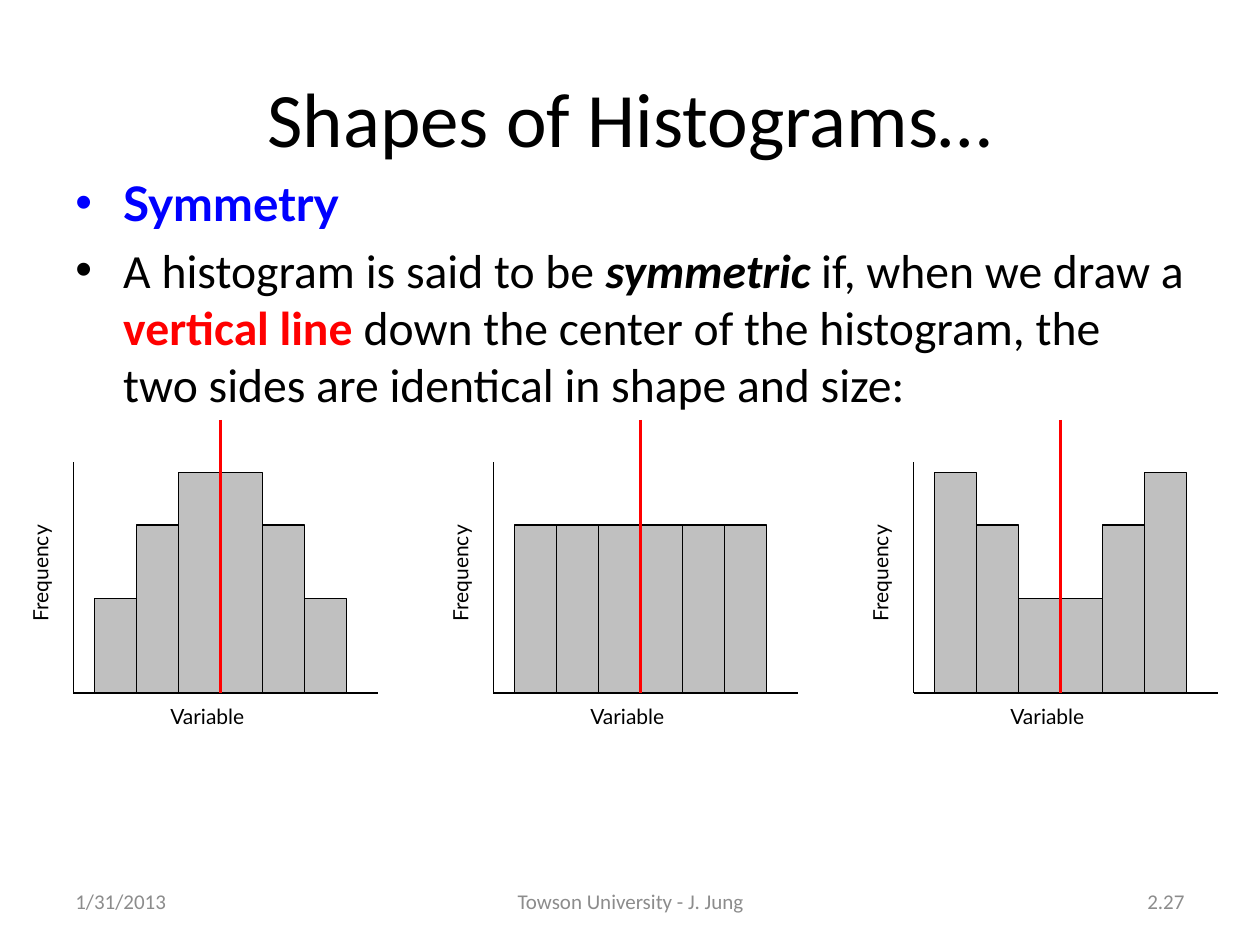
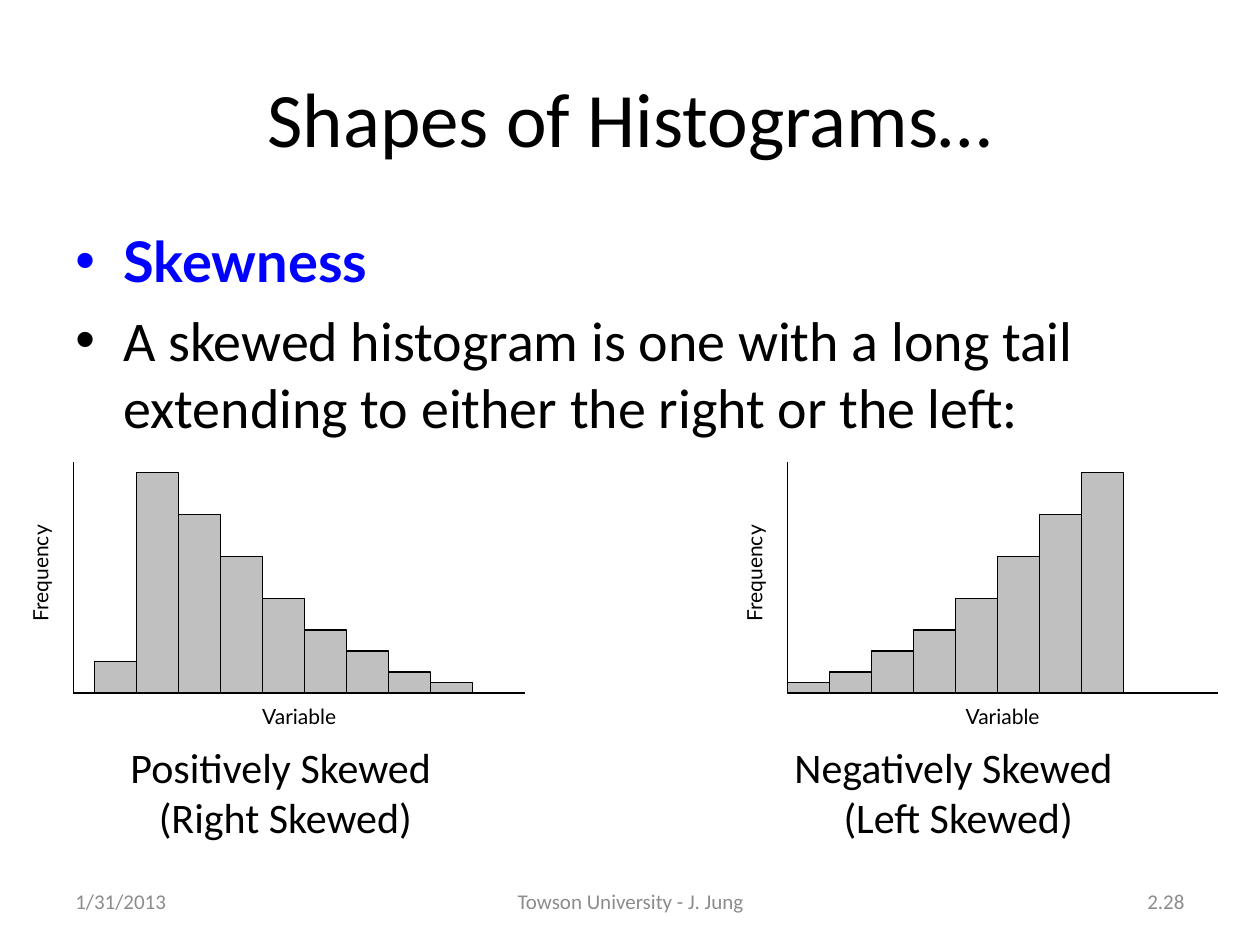
from lxml import etree
from pptx import Presentation
from pptx import util as u
from pptx.dml.color import RGBColor
from pptx.enum import shapes, text
from pptx.oxml.ns import qn

BLACK = RGBColor(0x00, 0x00, 0x00)
BLUE = RGBColor(0x00, 0x00, 0xFF)
RED = RGBColor(0xFF, 0x00, 0x00)
BAR_GRAY = RGBColor(0xC0, 0xC0, 0xC0)
FOOTER_GRAY = RGBColor(0x8C, 0x8C, 0x8C)
MAIN_FONT, ACCENT_FONT = "Calibri", "Lato"
LEFT, CENTER, RIGHT = text.PP_ALIGN.LEFT, text.PP_ALIGN.CENTER, text.PP_ALIGN.RIGHT

# Histograms are laid out in twelfths of an inch above a common baseline
UNIT = 1 / 12
BASELINE = 5.5
BAR_WIDTH = 4
AXIS_HEIGHT = 22
MIRROR_HEIGHT = 26


def add_text(page, place, words, size, font=MAIN_FONT, color=BLACK,
             align=CENTER, wrap=True):
    box = page.shapes.add_textbox(*[u.Inches(value) for value in place])
    frame = box.text_frame
    frame.word_wrap = wrap
    frame.vertical_anchor = text.MSO_ANCHOR.MIDDLE
    frame.text = words
    para = frame.paragraphs[0]
    para.alignment = align
    for span in para.runs:
        span.font.size = u.Pt(size)
        span.font.name = font
        span.font.color.rgb = color
    return box


def add_line(page, start, end, color=BLACK, width=0.75):
    points = [u.Inches(value) for value in (*start, *end)]
    line = page.shapes.add_connector(shapes.MSO_CONNECTOR.STRAIGHT, *points)
    line.line.color.rgb = color
    line.line.width = u.Pt(width)
    etree.SubElement(line._element.spPr, qn("a:effectLst"))


# Each span: words, font, colour, bold, italic
# Each histogram: axis position, axis length, first bar offset, bar heights,
# centre of the variable label from the axis, mirror line offset
pages = [
    {
        "number": "2.27",
        "body": (0.5, 1.33, 9, 1.92),
        "size": 27.2,
        "bullets": [
            [("Symmetry", ACCENT_FONT, BLUE, True, False)],
            [("A histogram is said to be ", MAIN_FONT, BLACK, False, False),
             ("symmetric", MAIN_FONT, BLACK, True, True),
             (" if, when we draw a ", MAIN_FONT, BLACK, False, False),
             ("vertical line", MAIN_FONT, RED, True, False),
             (" down the center of the histogram, the two sides are identical "
              "in shape and size:", MAIN_FONT, BLACK, False, False)],
        ],
        "histograms": [
            (7, 29, 2, [9, 16, 21, 21, 16, 9], 12.75, 14),
            (47, 29, 2, [16] * 6, 12.75, 14),
            (87, 29, 2, [21, 16, 9, 9, 16, 21], 12.75, 14),
        ],
        "captions": [],
    },
    {
        "number": "2.28",
        "body": (0.5, 1.75, 9, 4.95),
        "size": 32,
        "bullets": [
            [("Skewness", ACCENT_FONT, BLUE, True, False)],
            [("A skewed histogram is one with a long tail extending to either "
              "the right or the left:", MAIN_FONT, BLACK, False, False)],
        ],
        "histograms": [
            (7, 43, 2, [3, 21, 17, 13, 9, 6, 4, 2, 1], 21.5, None),
            (75, 41, 0, [1, 2, 4, 6, 9, 13, 17, 21], 20.5, None),
        ],
        "captions": [
            ((0.92, 5.83, 2.69, 0.91), "Positively Skewed \v(Right Skewed)"),
            ((6.19, 5.83, 2.83, 0.91), "Negatively Skewed \v(Left Skewed)"),
        ],
    },
]

deck = Presentation()
deck.slide_width, deck.slide_height = u.Inches(10), u.Inches(7.5)

for content in pages:
    page = deck.slides.add_slide(deck.slide_layouts[6])

    # Title and footer
    add_text(page, (0.5, 0.3, 9, 1.25), "Shapes of Histograms…", 44)
    for left, width, words, align in [
        (0.5, 2.33, "1/31/2013", LEFT),
        (3.42, 3.17, "Towson University - J. Jung", CENTER),
        (7.17, 2.33, content["number"], RIGHT),
    ]:
        add_text(page, (left, 6.95, width, 0.4), words, 12,
                 color=FOOTER_GRAY, align=align)

    # Bulleted text
    body = page.shapes.add_textbox(*[u.Inches(value) for value in content["body"]])
    frame = body.text_frame
    frame.word_wrap = True
    for index, spans in enumerate(content["bullets"]):
        para = frame.add_paragraph() if index else frame.paragraphs[0]
        properties = para._p.get_or_add_pPr()
        properties.set("marL", str(u.Inches(0.38)))
        properties.set("indent", str(-u.Inches(0.38)))
        etree.SubElement(properties, qn("a:buFont"), typeface="Arial")
        etree.SubElement(properties, qn("a:buChar"), char="•")
        if index:
            para.space_before = u.Pt(round(0.2 * content["size"], 1))
        for words, font, color, bold, italic in spans:
            span = para.add_run()
            span.text = words
            span.font.size = u.Pt(content["size"])
            span.font.name = font
            span.font.color.rgb = color
            span.font.bold = bold
            span.font.italic = italic

    # Histograms
    for axis, length, offset, heights, label, mirror in content["histograms"]:
        axis_left = axis * UNIT
        add_line(page, (axis_left, BASELINE), (axis_left + length * UNIT, BASELINE))
        for index, height in enumerate(heights):
            bar_left = (axis + offset + index * BAR_WIDTH) * UNIT
            bar = page.shapes.add_shape(
                shapes.MSO_SHAPE.RECTANGLE,
                u.Inches(bar_left), u.Inches(BASELINE - height * UNIT),
                u.Inches(BAR_WIDTH * UNIT), u.Inches(height * UNIT))
            bar.shadow.inherit = False
            bar.fill.solid()
            bar.fill.fore_color.rgb = BAR_GRAY
            bar.line.color.rgb = BLACK
            bar.line.width = u.Pt(0.75)
        if mirror:
            mirror_left = axis_left + mirror * UNIT
            add_line(page, (mirror_left, BASELINE - MIRROR_HEIGHT * UNIT),
                     (mirror_left, BASELINE), RED, 1.5)
        add_line(page, (axis_left, BASELINE),
                 (axis_left, BASELINE - AXIS_HEIGHT * UNIT))

        # Axis labels
        frequency = add_text(page, (axis_left - 0.75, 4.4, 0.97, 0.3),
                             "Frequency", 12, ACCENT_FONT, wrap=False)
        frequency.rotation = 270
        add_text(page, (axis_left + label * UNIT - 0.4, 5.53, 0.8, 0.3),
                 "Variable", 12, ACCENT_FONT, wrap=False)

    # Captions under the histograms
    for place, words in content["captions"]:
        add_text(page, place, words, 24, wrap=False)

deck.save("out.pptx")
